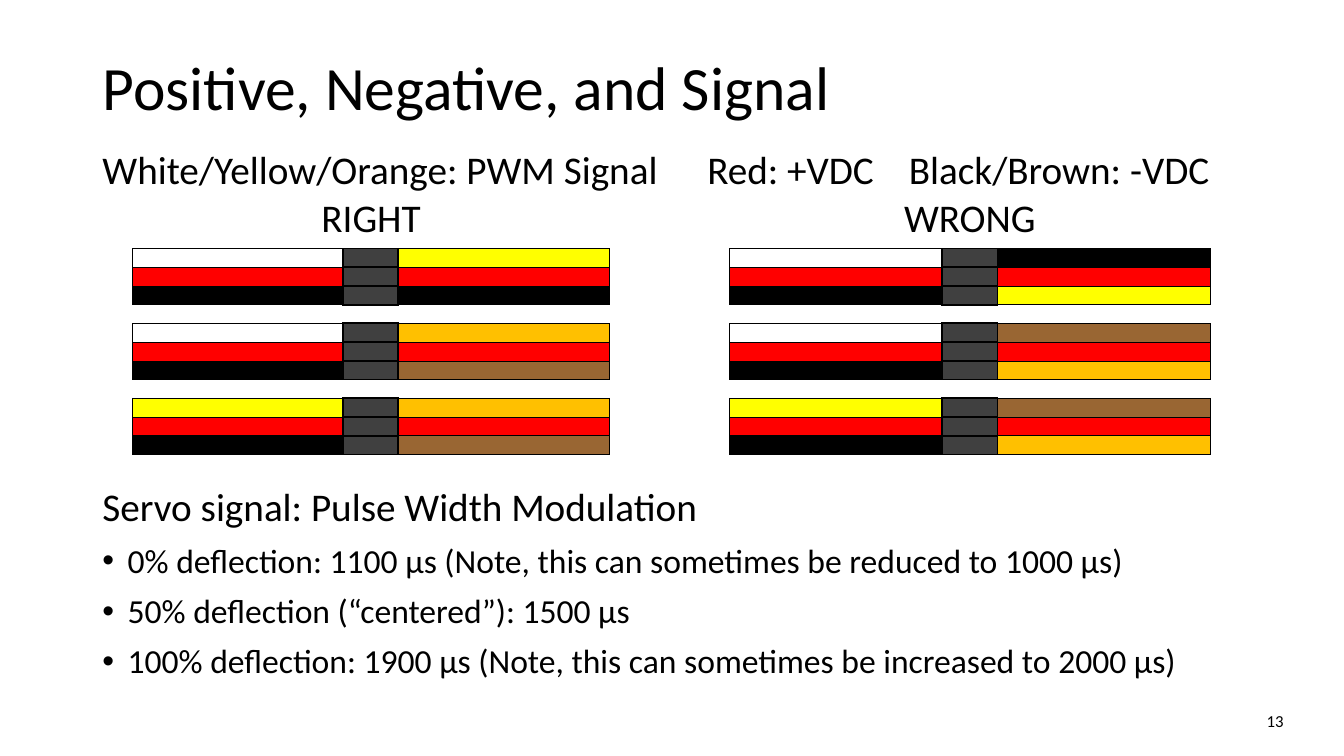
from dataclasses import dataclass
from lxml.etree import SubElement
from pptx import Presentation
from pptx.dml.color import RGBColor
from pptx.enum.text import MSO_ANCHOR, MSO_AUTO_SIZE, PP_ALIGN
from pptx.oxml.ns import qn
from pptx.util import Pt

LEFT, CENTER, RIGHT = PP_ALIGN.LEFT, PP_ALIGN.CENTER, PP_ALIGN.RIGHT
MIDDLE, TOP = MSO_ANCHOR.MIDDLE, MSO_ANCHOR.TOP
FIXED = MSO_AUTO_SIZE.NONE
NO_GRID = "{2D5ABB26-0587-4C30-8999-92F81FD0307C}"


@dataclass(frozen=True)
class Theme:
    """Colours, type sizes and line widths of the slide."""
    font: str = "Calibri"
    ink: str = "000000"
    white: str = "FFFFFF"
    red: str = "FF0000"
    yellow: str = "FFFF00"
    orange: str = "FFC000"
    brown: str = "996633"
    plug: str = "404040"
    title: float = 44
    lead: float = 28
    item: float = 24
    note: float = 12
    tiny: float = 8
    thin: float = 0.5
    thick: float = 1.5


T = Theme()
COLS = (150.5, 38.9, 151.2, 85.7, 151.9, 39.6, 151.9)
HEAD, STRIP = 41.4, 13.4
GROUPS = (
    ("RIGHT", 0, (
        ((T.white, T.red, T.ink), (T.yellow, T.red, T.ink)),
        ((T.white, T.red, T.ink), (T.orange, T.red, T.brown)),
        ((T.yellow, T.red, T.ink), (T.orange, T.red, T.brown)))),
    ("WRONG", 4, (
        ((T.white, T.red, T.ink), (T.ink, T.red, T.yellow)),
        ((T.white, T.red, T.ink), (T.brown, T.red, T.orange)),
        ((T.yellow, T.red, T.ink), (T.brown, T.red, T.orange)))),
)
LEADS = ("White/Yellow/Orange: PWM Signal\tRed: +VDC\tBlack/Brown: -VDC",
         "Servo signal: Pulse Width Modulation")
ITEMS = ("0% deflection: 1100 μs (Note, this can sometimes be reduced to 1000 μs)",
         "50% deflection (“centered”): 1500 μs",
         "100% deflection: 1900 μs (Note, this can sometimes be increased to 2000 μs)")


def write(para, text, size=T.lead, align=LEFT, line=None, before=0,
          bullet=None, tabs=()):
    """Write text into a paragraph with the given format."""
    para.alignment, para.space_before = align, Pt(before)
    if line:
        para.line_spacing = line
    props = para._p.get_or_add_pPr()
    dent = 18 if bullet else 0
    props.set("marL", str(Pt(dent)))
    props.set("indent", str(Pt(-dent)))
    if bullet:
        SubElement(props, qn("a:buFont"), typeface="Arial")
        SubElement(props, qn("a:buChar"), char=bullet)
    else:
        SubElement(props, qn("a:buNone"))
    if tabs:
        stops = SubElement(props, qn("a:tabLst"))
        for stop in tabs:
            SubElement(stops, qn("a:tab"), pos=str(Pt(stop)), algn="l")
    run = para.add_run()
    run.text = text
    run.font.name, run.font.size = T.font, Pt(size)
    run.font.color.rgb = RGBColor.from_string(T.ink)


def place(shape, box, anchor):
    """Move a text shape into its box and return its text frame."""
    shape.left, shape.top, shape.width, shape.height = map(Pt, box)
    frame = shape.text_frame
    frame.word_wrap, frame.auto_size = True, FIXED
    frame.vertical_anchor = anchor
    return frame


def heading(slide, box):
    """Fill the title."""
    frame = place(slide.shapes.title, box, MIDDLE)
    write(frame.paragraphs[0], "Positive, Negative, and Signal",
          size=T.title, line=0.9)


def body(slide, box):
    """Fill the body, leaving room for the wiring table."""
    frame = place(slide.placeholders[1], box, TOP)
    write(frame.paragraphs[0], LEADS[0], line=0.9, tabs=(432.5, 583))
    write(frame.add_paragraph(), LEADS[1], line=0.9, before=210.6)
    for text in ITEMS:
        write(frame.add_paragraph(), text, size=T.item, line=0.9,
              before=10, bullet="•")


def number(slide, box):
    """Add the page number."""
    frame = place(slide.shapes.add_textbox(*map(Pt, box)), box, MIDDLE)
    write(frame.paragraphs[0], "13", size=T.note, align=RIGHT)


def paint(cell, color, **edges):
    """Draw the borders of a cell, then fill it."""
    props = cell._tc.get_or_add_tcPr()
    for side in "LRTB":
        if side in edges:
            line = SubElement(props, qn(f"a:ln{side}"), w=str(Pt(edges[side])))
            solid = SubElement(line, qn("a:solidFill"))
            SubElement(solid, qn("a:srgbClr"), val=T.ink)
    cell.fill.solid()
    cell.fill.fore_color.rgb = RGBColor.from_string(color)


def cable(table, row, col, wires):
    """Paint two sets of wires joined by a plug."""
    for step, (near, far) in enumerate(zip(*wires)):
        left, plug, right = (table.cell(row + step, col + i) for i in range(3))
        paint(left, near, L=T.thin, R=T.thick, T=T.thin, B=T.thin)
        rims = ({"T", "B"}, {"T"}, {"B"})[step]
        paint(plug, T.plug, L=T.thick, R=T.thick, **dict.fromkeys(rims, T.thick))
        paint(right, far, L=T.thick, R=T.thin, T=T.thin, B=T.thin)


def wiring(slide, left, top):
    """Build the table of right and wrong cable pairs."""
    count = 12
    frame = slide.shapes.add_table(count, len(COLS), Pt(left), Pt(top),
                                   Pt(sum(COLS)), Pt(HEAD + STRIP * (count - 1)))
    frame.element.xpath(".//a:tableStyleId")[0].text = NO_GRID
    table = frame.table
    table.first_row = table.horz_banding = False
    for column, width in zip(table.columns, COLS):
        column.width = Pt(width)
    for index, row in enumerate(table.rows):
        row.height = Pt(STRIP if index else HEAD)
        for cell in row.cells:
            if index:
                cell.margin_top = cell.margin_bottom = 0
            cell.fill.background()
            mark = cell.text_frame.paragraphs[0]._p
            SubElement(mark, qn("a:endParaRPr"), sz=str(int(T.tiny * 100)))
    for name, col, pairs in GROUPS:
        head = table.cell(0, col)
        head.merge(table.cell(0, col + 2))
        write(head.text_frame.paragraphs[0], name, align=CENTER)
        for index, wires in enumerate(pairs):
            cable(table, 1 + 4 * index, col, wires)


def main():
    """Build and save the slide."""
    deck = Presentation()
    deck.slide_width, deck.slide_height = Pt(960), Pt(540)
    slide = deck.slides.add_slide(deck.slide_layouts[1])
    heading(slide, (66, 12.5, 858, 104))
    body(slide, (66, 103.9, 858, 424))
    number(slide, (678, 500.5, 246, 28.8))
    wiring(slide, 94.8, 136)
    deck.save("out.pptx")


if __name__ == "__main__":
    main()
